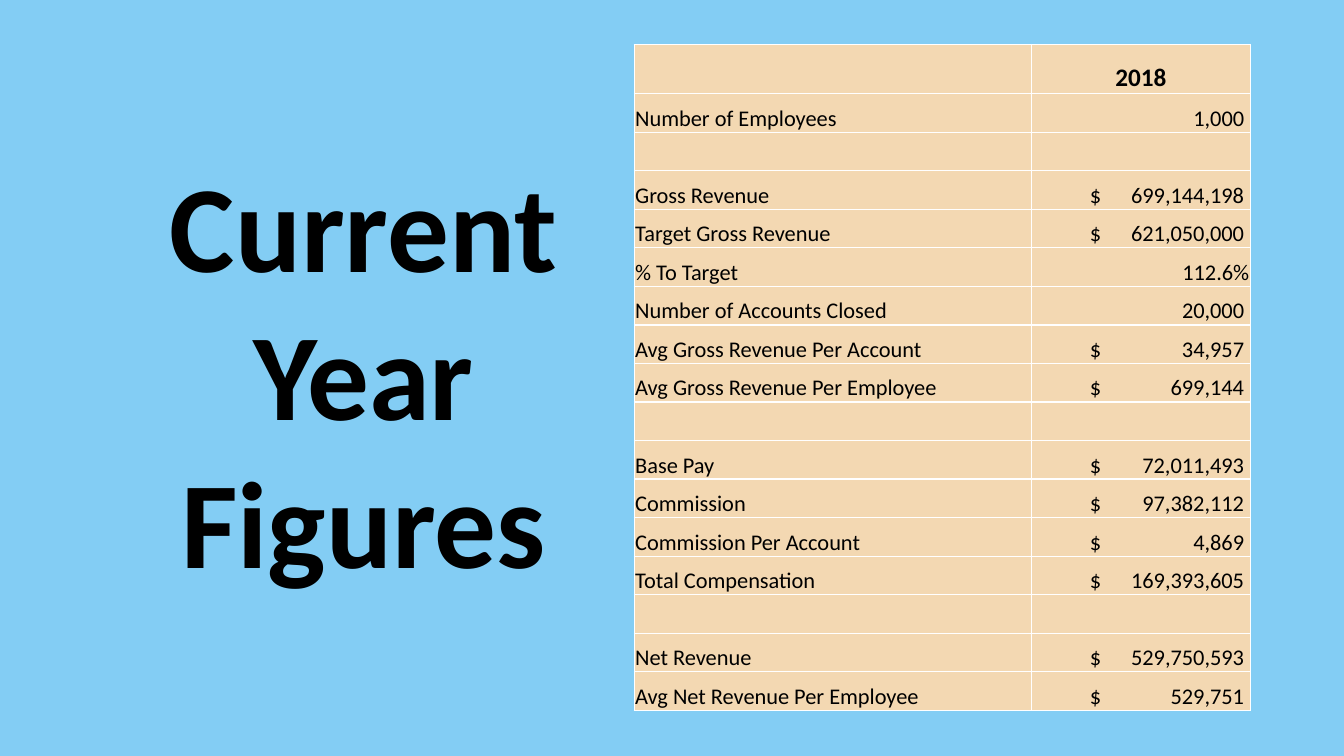
from typing import NamedTuple

from lxml import etree
from pptx import Presentation
from pptx import util as u
from pptx.dml.color import RGBColor
from pptx.enum import text
from pptx.oxml import ns

SLIDE_WIDTH, SLIDE_HEIGHT = 13.33, 7.5
SKY, SAND, INK, WHITE = "83CDF4", "F3D8B2", "000000", "FFFFFF"
FONT = "Calibri"
TABLE_LEFT, TABLE_TOP = 6.29, 0.44
LABEL_WIDTH, FIGURE_WIDTH = 3.94, 2.17
HEADER_HEIGHT, ROW_HEIGHT = 0.49, 0.3825
CELL_INSET, DOLLAR_INSET, FIGURE_INSET = 0.01, 0.58, 0.06
LEFT, CENTER, RIGHT = text.PP_ALIGN.LEFT, text.PP_ALIGN.CENTER, text.PP_ALIGN.RIGHT


class Figure(NamedTuple):
    label: str = ""
    value: str = ""
    dollars: bool = False


FIGURES = [
    Figure("Number of Employees", "1,000"),
    Figure(),
    Figure("Gross Revenue", "699,144,198", True),
    Figure("Target Gross Revenue", "621,050,000", True),
    Figure("% To Target", "112.6%"),
    Figure("Number of Accounts Closed", "20,000"),
    Figure("Avg Gross Revenue Per Account", "34,957", True),
    Figure("Avg Gross Revenue Per Employee", "699,144", True),
    Figure(),
    Figure("Base Pay", "72,011,493", True),
    Figure("Commission", "97,382,112", True),
    Figure("Commission Per Account", "4,869", True),
    Figure("Total Compensation", "169,393,605", True),
    Figure(),
    Figure("Net Revenue", "529,750,593", True),
    Figure("Avg Net Revenue Per Employee", "529,751", True),
]


def color(value: str) -> RGBColor:
    return RGBColor.from_string(value)


def add_run(paragraph, words: str, size: float, bold: bool = False) -> None:
    run = paragraph.add_run()
    run.text = words
    run.font.name, run.font.size, run.font.bold = FONT, u.Pt(size), bold
    run.font.color.rgb = color(INK)


def add_right_tab(paragraph, position: float) -> None:
    properties = paragraph._p.get_or_add_pPr()
    stops = etree.SubElement(properties, ns.qn("a:tabLst"))
    etree.SubElement(stops, ns.qn("a:tab"), pos=str(u.Inches(position)), algn="r")


def style_cell(cell) -> None:
    """Give a cell white borders, a sand fill and narrow insets."""
    properties = cell._tc.get_or_add_tcPr()
    for side in ("lnL", "lnR", "lnT", "lnB"):
        line = etree.SubElement(properties, ns.qn(f"a:{side}"), w=str(u.Pt(1)))
        fill = etree.SubElement(line, ns.qn("a:solidFill"))
        etree.SubElement(fill, ns.qn("a:srgbClr"), val=WHITE)
    cell.fill.solid()
    cell.fill.fore_color.rgb = color(SAND)
    cell.margin_left = cell.margin_right = cell.margin_top = u.Inches(CELL_INSET)
    cell.margin_bottom = 0
    cell.vertical_anchor = text.MSO_ANCHOR.BOTTOM


def write_cell(cell, words: str, align, size: float = 16, bold: bool = False) -> None:
    paragraph = cell.text_frame.paragraphs[0]
    paragraph.alignment = align
    add_run(paragraph, words, size, bold)


def write_figure(cell, figure: Figure) -> None:
    """Right-align the value; a dollar sign stands at the left of its column."""
    if figure.dollars:
        cell.margin_left = u.Inches(DOLLAR_INSET)
        write_cell(cell, f"$\t{figure.value}", LEFT)
        add_right_tab(cell.text_frame.paragraphs[0],
                      FIGURE_WIDTH - DOLLAR_INSET - FIGURE_INSET)
    else:
        if not figure.value.endswith("%"):
            cell.margin_right = u.Inches(FIGURE_INSET)
        write_cell(cell, figure.value, RIGHT)


def add_title(slide) -> None:
    box = slide.shapes.add_textbox(
        u.Inches(0.92), u.Inches(1.55), u.Inches(5.37), u.Inches(4.38))
    frame = box.text_frame
    frame.word_wrap = True
    frame.vertical_anchor = text.MSO_ANCHOR.BOTTOM
    paragraph = frame.paragraphs[0]
    paragraph.alignment = CENTER
    paragraph.space_after = u.Pt(6)
    add_run(paragraph, "Current Year Figures", 88, True)


def add_figures_table(slide) -> None:
    height = HEADER_HEIGHT + ROW_HEIGHT * len(FIGURES)
    table = slide.shapes.add_table(
        len(FIGURES) + 1, 2, u.Inches(TABLE_LEFT), u.Inches(TABLE_TOP),
        u.Inches(LABEL_WIDTH + FIGURE_WIDTH), u.Inches(height)).table
    table.first_row = table.horz_banding = False
    for column, width in zip(table.columns, (LABEL_WIDTH, FIGURE_WIDTH)):
        column.width = u.Inches(width)
    for index, row in enumerate(table.rows):
        row.height = u.Inches(ROW_HEIGHT if index else HEADER_HEIGHT)
    for cell in table.iter_cells():
        style_cell(cell)
    write_cell(table.cell(0, 1), "2018", CENTER, 18, True)
    for index, figure in enumerate(FIGURES, start=1):
        if figure.label:
            write_cell(table.cell(index, 0), figure.label, LEFT)
            write_figure(table.cell(index, 1), figure)


def main() -> None:
    presentation = Presentation()
    presentation.slide_width = u.Inches(SLIDE_WIDTH)
    presentation.slide_height = u.Inches(SLIDE_HEIGHT)
    slide = presentation.slides.add_slide(presentation.slide_layouts[6])
    slide.background.fill.solid()
    slide.background.fill.fore_color.rgb = color(SKY)
    add_title(slide)
    add_figures_table(slide)
    presentation.save("out.pptx")


if __name__ == "__main__":
    main()
